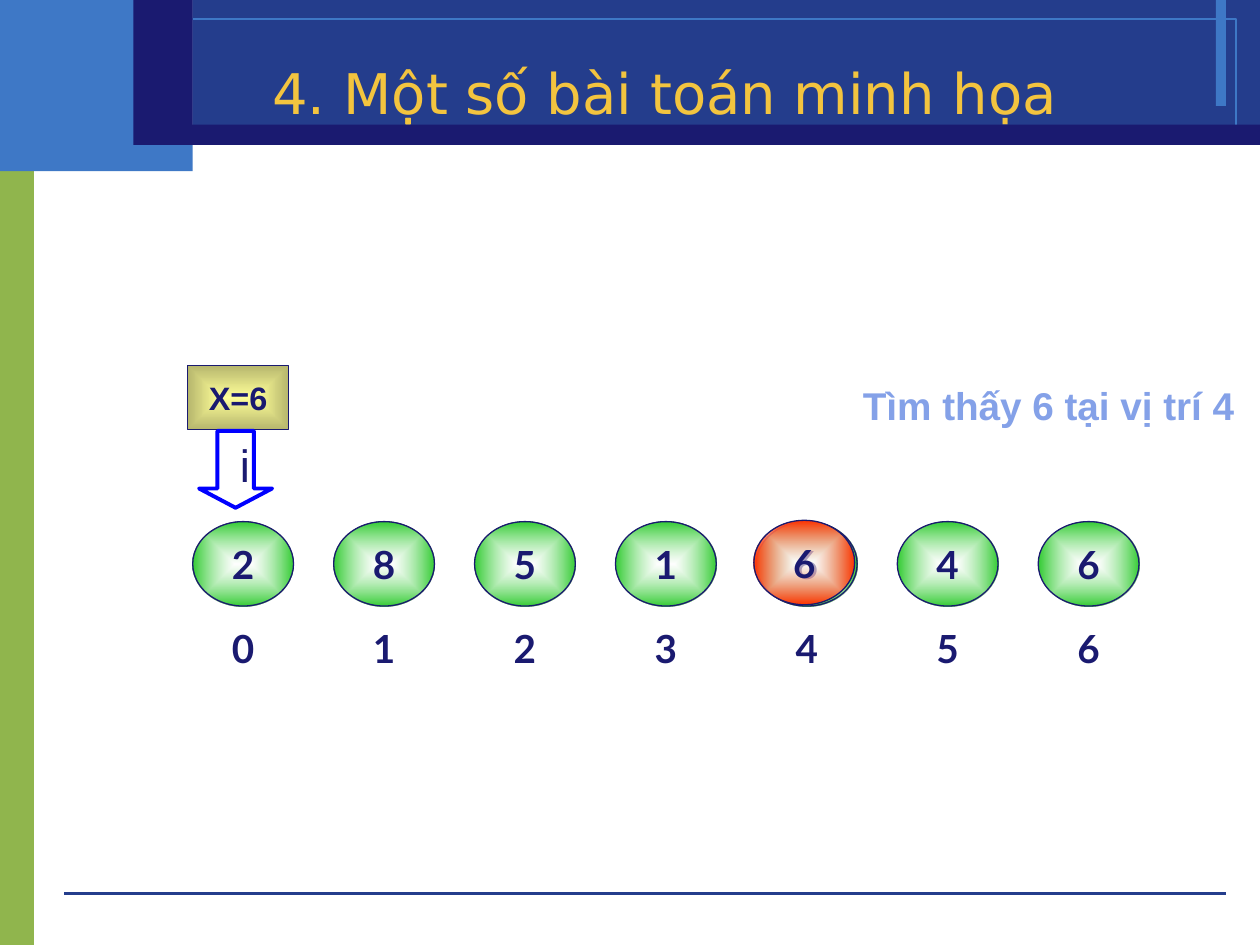
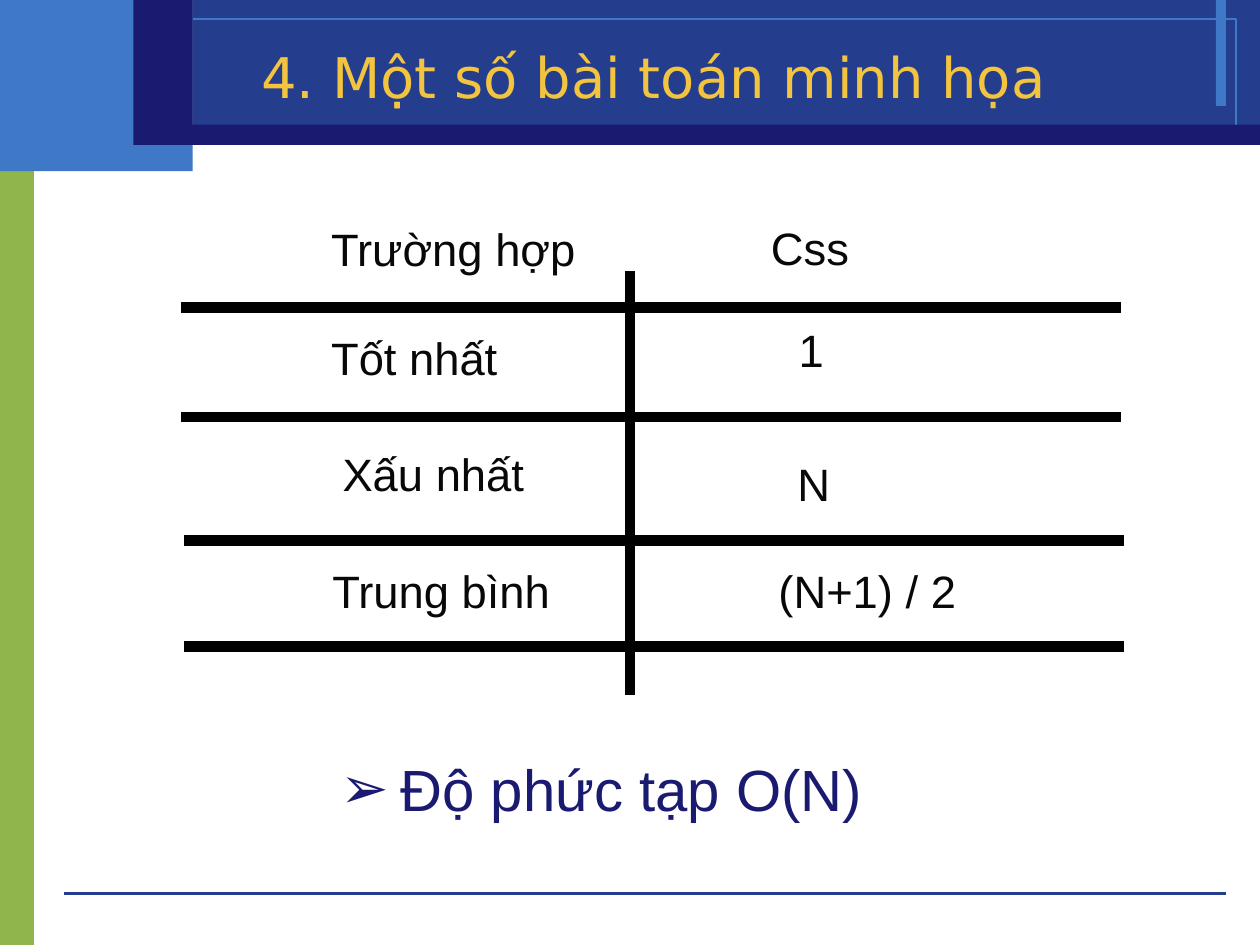
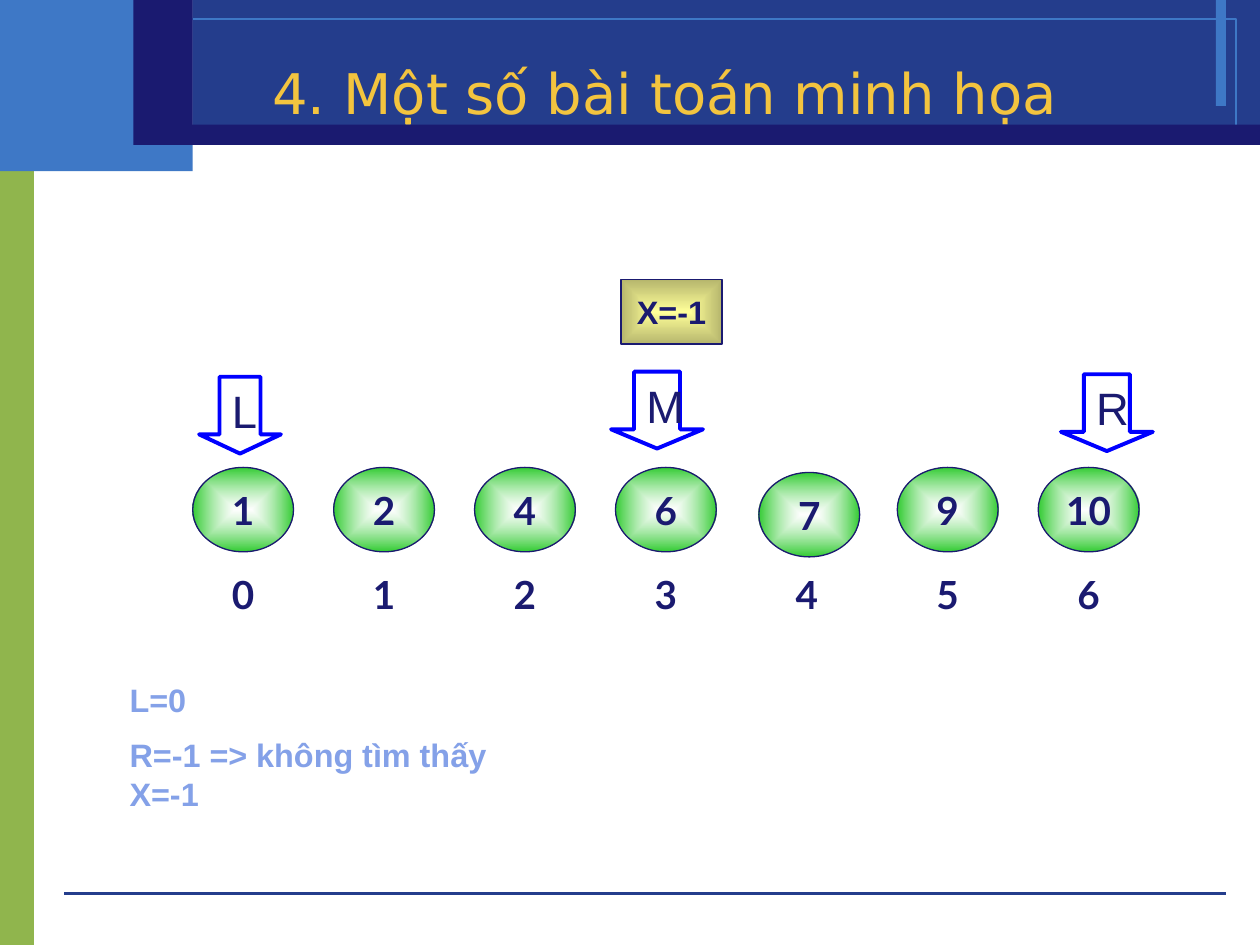
"""Builds three lecture slides on linear and binary search."""
from dataclasses import dataclass
from typing import Any, NamedTuple, Optional

import lxml.etree
import pptx
import pptx.dml.color
import pptx.enum.shapes
import pptx.enum.text
import pptx.oxml
import pptx.oxml.ns
import pptx.util

Inches = pptx.util.Inches
Pt = pptx.util.Pt
RGB = pptx.dml.color.RGBColor.from_string
Shape = pptx.enum.shapes.MSO_SHAPE
Anchor = pptx.enum.text.MSO_ANCHOR
Align = pptx.enum.text.PP_ALIGN
qn = pptx.oxml.ns.qn


class TextStyle(NamedTuple):
    """Font, size in points, colour and weight of a text."""
    font: str
    size: float
    color: str
    bold: bool = False


class Box(NamedTuple):
    """Left, top, width and height in inches."""
    left: float
    top: float
    width: float
    height: float

    def lengths(self) -> list[int]:
        """Return the four values as lengths."""
        return [Inches(value) for value in self]


@dataclass(frozen=True)
class Theme:
    """All colours and type styles of the deck."""
    navy: str = "1A1A70"
    blue: str = "243D8C"
    sky: str = "3E78C6"
    lime: str = "90B54D"
    rule: str = "000000"
    arrow: str = "0000FF"
    green: str = "33CC33"
    red: str = "FF3300"
    white: str = "FFFFFF"
    key_center: str = "FFFF99"
    key_edge: str = "B6B66D"
    title: TextStyle = TextStyle("DejaVu Sans", 32, "F3C43F")
    number: TextStyle = TextStyle("Lato", 22.1, "1A1A70", True)
    key: TextStyle = TextStyle("Arial", 18.5, "1A1A70", True)
    pointer: TextStyle = TextStyle("Arial", 25.9, "1A1A70")
    result: TextStyle = TextStyle("Arial", 22.1, "84A1E8", True)
    note: TextStyle = TextStyle("Arial", 18.5, "84A1E8", True)
    cell: TextStyle = TextStyle("Arial", 25.9, "080808")
    conclusion: TextStyle = TextStyle("Arial", 33.2, "1A1A70")


@dataclass(frozen=True)
class Ball:
    """An array element, with its shift from the grid in inches."""
    text: str
    shift_x: float = 0
    shift_y: float = 0
    edge: str = "33CC33"


@dataclass(frozen=True)
class Pointer:
    """A labelled down arrow over the array."""
    text: str
    box: Box
    head: float = 0.25
    inset: float = 0.1


@dataclass(frozen=True)
class Cell:
    """One text of the case table."""
    text: str
    box: Box


THEME = Theme()
TITLE = "4. Một số bài toán minh họa"
TITLE_BOX = Box(0.98, 0.42, 8.6, 0.62)
BALL_COUNT = 7
FIRST_BALL, LAST_BALL = 1.53, 8.24
BALL_PITCH = (LAST_BALL - FIRST_BALL) / (BALL_COUNT - 1)
BALL_WIDTH, BALL_HEIGHT = 0.8, 0.67


def set_attributes(target: Any, values: dict[str, Any]) -> None:
    """Set each named value on the target."""
    for name, value in values.items():
        setattr(target, name, value)


def write(shape: Any, lines: list[str], style: TextStyle, align: Align = Align.LEFT,
          anchor: Anchor = Anchor.TOP, **frame_values: Any) -> None:
    """Fill a shape with one formatted paragraph per line."""
    frame = shape.text_frame
    set_attributes(frame, {"text": "\n".join(lines), "word_wrap": True,
                           "auto_size": pptx.enum.text.MSO_AUTO_SIZE.NONE,
                           "vertical_anchor": anchor, **frame_values})
    for index, paragraph in enumerate(frame.paragraphs):
        paragraph.alignment = align
        paragraph.space_before = Pt(style.size / 2 if index else 0)
        for run in paragraph.runs:
            set_attributes(run.font, {"name": style.font, "size": Pt(style.size),
                                      "bold": style.bold})
            run.font.color.rgb = RGB(style.color)


def add_shape(shapes: Any, kind: Shape, box: Box, fill: Optional[str] = None,
              line: Optional[str] = None, weight: float = 0.75) -> Any:
    """Add a preset shape with an optional solid fill and outline."""
    shape = shapes.add_shape(kind, *box.lengths())
    shape.shadow.inherit = False
    if fill:
        shape.fill.solid()
        shape.fill.fore_color.rgb = RGB(fill)
    else:
        shape.fill.background()
    if line:
        shape.line.color.rgb = RGB(line)
        shape.line.width = Pt(weight)
    else:
        shape.line.fill.background()
    return shape


def add_line(shapes: Any, start: tuple[float, float], end: tuple[float, float],
             color: str, weight: float) -> Any:
    """Add a straight line without a shadow."""
    connector = shapes.add_connector(pptx.enum.shapes.MSO_CONNECTOR.STRAIGHT,
                                     *map(Inches, start + end))
    connector.line.color.rgb = RGB(color)
    connector.line.width = Pt(weight)
    lxml.etree.SubElement(connector.element.spPr, qn("a:effectLst"))
    return connector


def set_radial_fill(shape: Any, center: str, edge: str, opacity: int = 100) -> None:
    """Replace the empty fill by a gradient from the centre to the edge."""
    gradient = pptx.oxml.parse_xml(
        f'<a:gradFill {pptx.oxml.ns.nsdecls("a")} rotWithShape="1"><a:gsLst>'
        f'<a:gs pos="0"><a:srgbClr val="{center}"><a:alpha val="{opacity * 1000}"/>'
        f'</a:srgbClr></a:gs><a:gs pos="100000"><a:srgbClr val="{edge}"/></a:gs></a:gsLst>'
        '<a:path path="shape"><a:fillToRect l="50000" t="50000" r="50000" b="50000"/>'
        '</a:path></a:gradFill>')
    properties = shape.element.spPr
    properties.replace(properties.find(qn("a:noFill")), gradient)


def add_text(shapes: Any, box: Box, lines: list[str], style: TextStyle,
             **frame_values: Any) -> Any:
    """Add a wrapping text box."""
    shape = shapes.add_textbox(*box.lengths())
    write(shape, lines, style, **frame_values)
    return shape


def add_frame(slide: Any, layout: Any) -> None:
    """Draw the bands and footer rule and move them to the layout."""
    bands = [
        (Box(0, 1.07, 0.27, 6.43), THEME.lime, None),
        (Box(0, 0, 1.53, 1.36), THEME.sky, None),
        (Box(1.53, 0, 8.47, 1.15), THEME.blue, None),
        (Box(9.65, 0, 0.08, 0.84), THEME.sky, None),
        (Box(0.2, 0.15, 9.61, 0.85), None, THEME.sky),
        (Box(1.3, 0.99, 8.7, 0.16), THEME.navy, None),
        (Box(1.06, 0, 0.47, 1.15), THEME.navy, None),
    ]
    parts = [add_shape(slide.shapes, Shape.RECTANGLE, box, fill, line, 0)
             for box, fill, line in bands]
    parts.append(add_line(slide.shapes, (0.51, 7.09), (9.73, 7.09), THEME.blue, 0))
    for index, part in enumerate(parts):
        layout.shapes.element.insert(2 + index, part.element)


def add_slide(presentation: Any, layout: Any, title_box: Box = TITLE_BOX) -> Any:
    """Add a slide and format its title."""
    slide = presentation.slides.add_slide(layout)
    title = slide.shapes.title
    set_attributes(title, dict(zip(("left", "top", "width", "height"), title_box.lengths())))
    write(title, [TITLE], THEME.title, Align.CENTER, Anchor.MIDDLE)
    return slide


def add_ball(shapes: Any, position: int, top: float, ball: Ball, filled: bool = True) -> None:
    """Add a number at an array position, in a shaded or an invisible ellipse."""
    box = Box(FIRST_BALL + position * BALL_PITCH + ball.shift_x, top + ball.shift_y,
              BALL_WIDTH, BALL_HEIGHT)
    shape = add_shape(shapes, Shape.OVAL, box, line=THEME.navy if filled else None)
    if filled:
        set_radial_fill(shape, THEME.white, ball.edge, 60)
    write(shape, [ball.text], THEME.number, Align.CENTER, Anchor.MIDDLE,
          margin_left=0, margin_right=0, margin_top=0, margin_bottom=0)


def add_array(slide: Any, balls: list[Ball], top: float) -> None:
    """Add a row of array elements with their indices below."""
    indices = slide.shapes.add_group_shape()
    for position, ball in enumerate(balls):
        add_ball(indices.shapes, position, top + BALL_HEIGHT, Ball(str(position)), filled=False)
        add_ball(slide.shapes, position, top, ball)


def add_key(shapes: Any, text: str, left: float, top: float) -> None:
    """Add the box with the searched value."""
    shape = add_shape(shapes, Shape.RECTANGLE, Box(left, top, 0.8, 0.51), line=THEME.navy)
    set_radial_fill(shape, THEME.key_center, THEME.key_edge)
    write(shape, [text], THEME.key, Align.CENTER, Anchor.MIDDLE, word_wrap=False)


def add_pointer(shapes: Any, pointer: Pointer) -> None:
    """Add a labelled arrow that points at an element."""
    shape = add_shape(shapes, Shape.DOWN_ARROW, pointer.box, line=THEME.arrow, weight=2.25)
    shape.adjustments[1] = pointer.head
    write(shape, [pointer.text], THEME.pointer, margin_left=Inches(pointer.inset))


def add_bullet(paragraph: Any, character: str, indent: float) -> None:
    """Give a paragraph a bullet with a hanging indent."""
    properties = paragraph._p.get_or_add_pPr()
    properties.set("marL", str(Inches(indent)))
    properties.set("indent", str(-Inches(indent)))
    for tag, name, value in (("a:buFont", "typeface", "Arial"), ("a:buChar", "char", character)):
        lxml.etree.SubElement(properties, qn(tag)).set(name, value)


def build_linear_search(slide: Any) -> None:
    """Show the linear search for 6."""
    top = 4.14
    add_array(slide, [Ball(text) for text in "2851646"], top)
    group = slide.shapes.add_group_shape()
    add_key(group.shapes, "X=6", 1.49, 2.9)
    add_pointer(group.shapes, Pointer("i", Box(1.58, 3.42, 0.58, 0.61), 0.264, 0.18))
    add_ball(slide.shapes, 4, top, Ball("6", -0.02, -0.01, THEME.red))
    add_text(slide.shapes, Box(6.75, 2.98, 3.22, 0.47), ["Tìm thấy 6 tại vị trí 4"],
             THEME.result, margin_right=0)


def build_complexity(slide: Any) -> None:
    """Show the number of comparisons for each case."""
    shapes = slide.shapes.add_group_shape().shapes
    for left, top in ((1.44, 2.44), (1.44, 3.31), (1.46, 4.29), (1.46, 5.13)):
        add_line(shapes, (left, top), (left + 7.46, top), THEME.rule, 6)
    add_line(shapes, (5, 2.15), (5, 5.52), THEME.rule, 6)
    height = 0.54
    cells = [
        Cell("Trường hợp", Box(2.53, 1.71, 2.16, height)),
        Cell("Css", Box(6.02, 1.7, 0.82, height)),
        Cell("Tốt nhất", Box(2.53, 2.57, 1.53, height)),
        Cell("1", Box(6.24, 2.51, 0.5, height)),
        Cell("Xấu nhất", Box(2.62, 3.49, 1.65, height)),
        Cell("N", Box(6.23, 3.57, 0.56, height)),
        Cell("Trung bình", Box(2.54, 4.42, 2.04, height)),
        Cell("(N+1) / 2", Box(6.08, 4.42, 1.62, height)),
    ]
    for cell in cells:
        add_text(shapes, cell.box, [cell.text], THEME.cell, margin_right=0)
    conclusion = add_text(shapes, Box(2.6, 5.93, 4.58, 0.66), ["Độ phức tạp O(N)"],
                          THEME.conclusion)
    add_bullet(conclusion.text_frame.paragraphs[0], "➢", 0.48)


def build_binary_search(slide: Any) -> None:
    """Show the binary search for -1."""
    balls = [Ball("1"), Ball("2"), Ball("4"), Ball("6"), Ball("7", 0.02, 0.04),
             Ball("9"), Ball("10")]
    add_array(slide, balls, 3.71)
    add_key(slide.shapes, "X=-1", 4.93, 2.22)
    for pointer in (Pointer("L", Box(1.58, 2.99, 0.65, 0.61)),
                    Pointer("M", Box(4.85, 2.95, 0.73, 0.61)),
                    Pointer("R", Box(8.42, 2.97, 0.73, 0.61))):
        add_pointer(slide.shapes, pointer)
    add_text(slide.shapes, Box(0.93, 5.35, 3.42, 1.18),
             ["L=0", "R=-1 => không tìm thấy X=-1"], THEME.note)


def main() -> None:
    """Build and save the deck."""
    presentation = pptx.Presentation()
    presentation.slide_width, presentation.slide_height = Inches(10), Inches(7.5)
    layout = presentation.slide_layouts.get_by_name("Title Only")
    linear = add_slide(presentation, layout)
    add_frame(linear, layout)
    build_linear_search(linear)
    build_complexity(add_slide(presentation, layout, Box(0.89, 0.29, 8.6, 0.62)))
    build_binary_search(add_slide(presentation, layout))
    presentation.save("out.pptx")


main()
